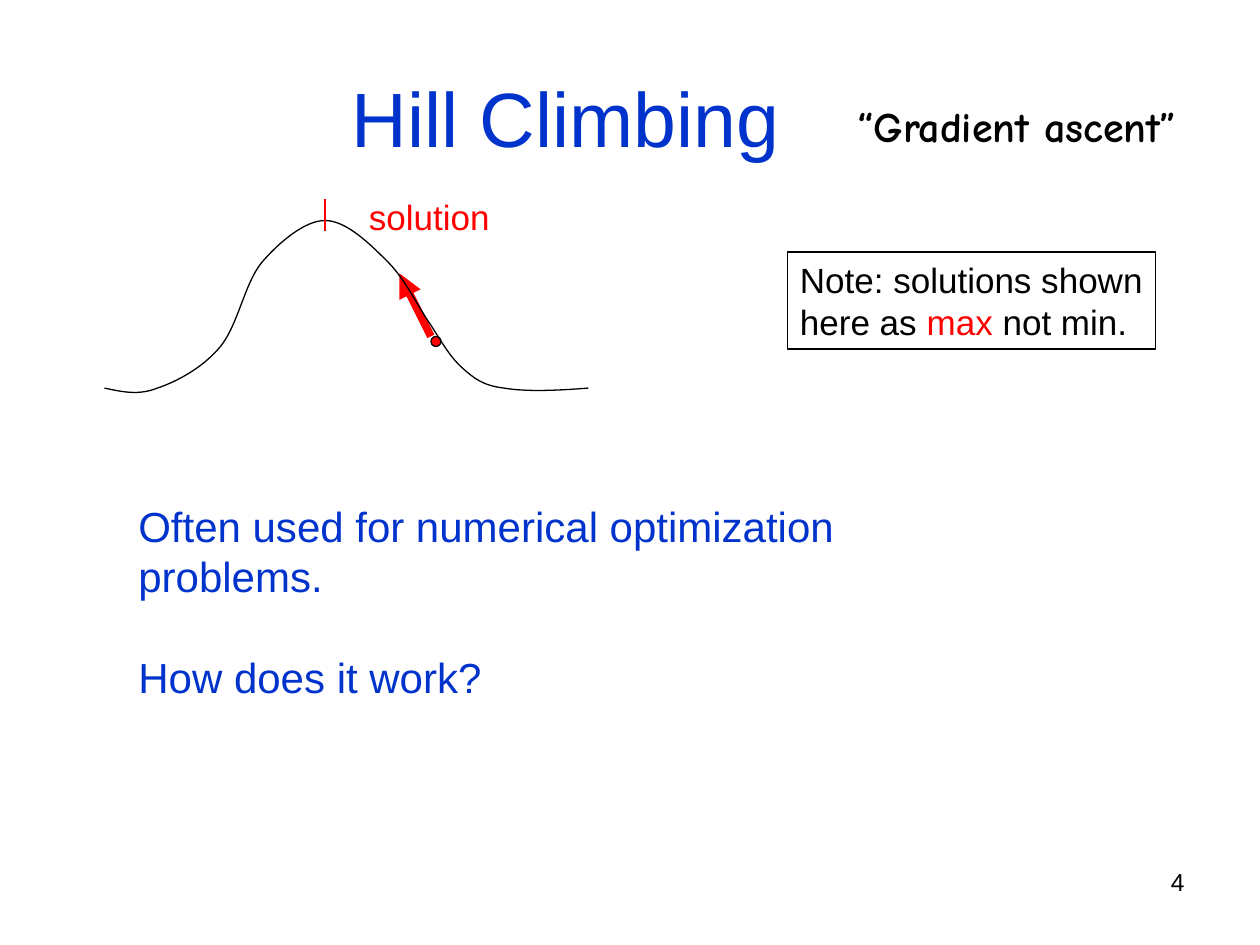
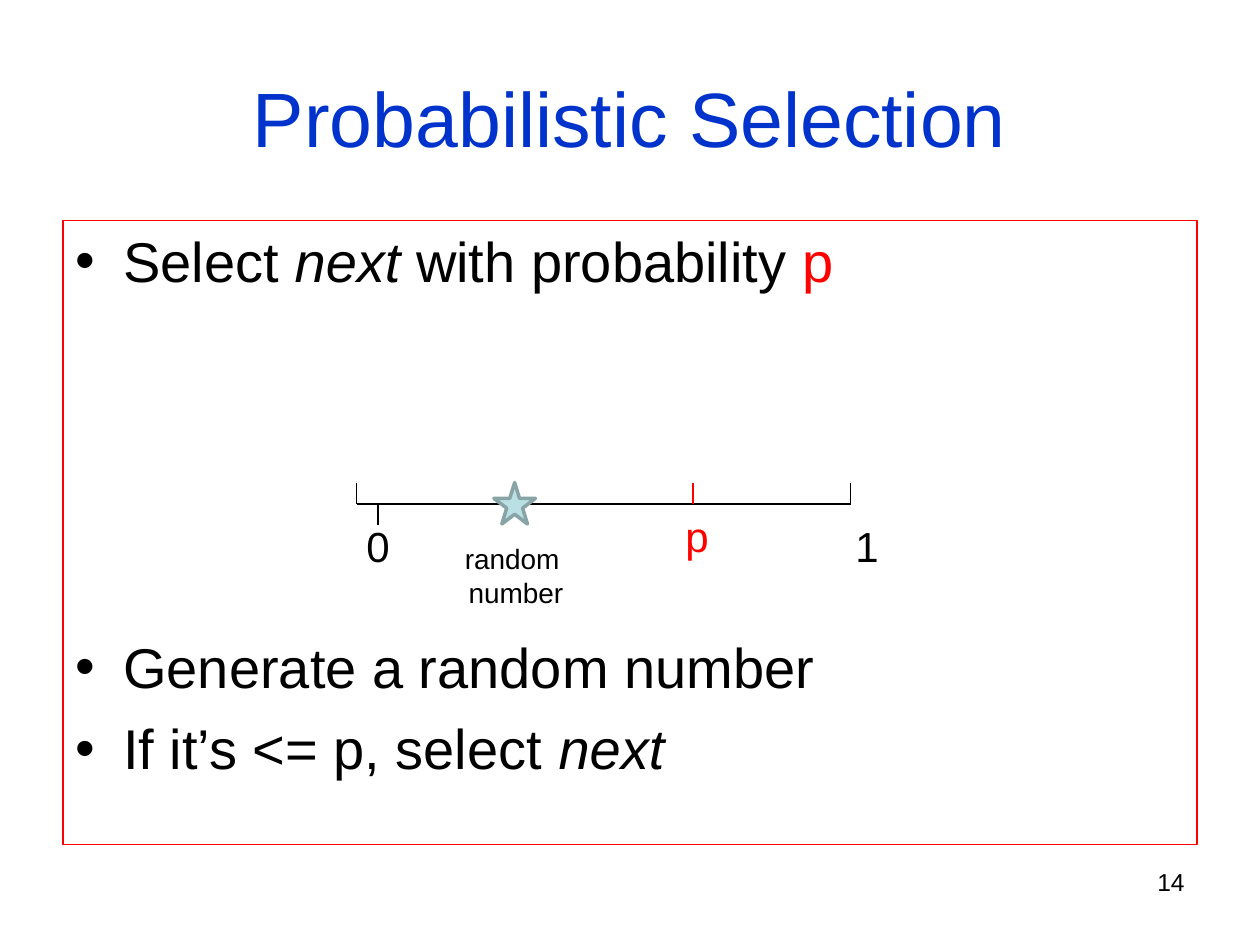
from dataclasses import dataclass
from typing import Optional

from lxml import etree
from pptx import Presentation
from pptx import util as u
from pptx.dml.color import RGBColor
from pptx.enum import shapes, text
from pptx.oxml import ns

COLORS = {
    "black": "000000",
    "blue": "0033CC",
    "red": "FF0000",
    "star": "BBE0E3",
    "star edge": "89A4A7",
}
BODY_FONT = "Arial"
ALIGN = text.PP_ALIGN
PRESET = shapes.MSO_SHAPE


@dataclass(frozen=True)
class Span:
    words: str
    color: Optional[str] = None
    italic: bool = False


@dataclass(frozen=True)
class Para:
    spans: tuple[Span, ...]
    before: float = 0
    bullet: bool = False
    tab: float = 0


@dataclass(frozen=True)
class Label:
    left: float
    top: float
    width: float
    height: float
    paras: tuple[Para, ...]
    size: float
    color: str = "black"
    font: str = BODY_FONT
    bold: bool = False
    align: ALIGN = ALIGN.LEFT
    anchor: text.MSO_ANCHOR = text.MSO_ANCHOR.TOP
    wrap: bool = False
    border: Optional[str] = None


@dataclass(frozen=True)
class Segment:
    start: tuple[float, float]
    end: tuple[float, float]
    color: str = "black"
    weight: float = 0.75
    arrow: bool = False


def rgb(name: str) -> RGBColor:
    return RGBColor.from_string(COLORS[name])


def plain(*words: str) -> tuple[Para, ...]:
    return tuple(Para((Span(line),)) for line in words)


def add_bullet(para) -> None:
    props = para._p.get_or_add_pPr()
    props.set("marL", str(u.Inches(0.38)))
    props.set("indent", str(u.Inches(-0.38)))
    color = etree.SubElement(props, ns.qn("a:buClr"))
    etree.SubElement(color, ns.qn("a:srgbClr"), val=COLORS["black"])
    etree.SubElement(props, ns.qn("a:buFont"), typeface=BODY_FONT)
    etree.SubElement(props, ns.qn("a:buChar"), char="•")


def add_tab(para, position: float) -> None:
    stops = etree.SubElement(para._p.get_or_add_pPr(), ns.qn("a:tabLst"))
    etree.SubElement(stops, ns.qn("a:tab"), pos=str(u.Inches(position)), algn="l")


def style_outline(shape, color: str, weight: float = 0.75) -> None:
    shape.shadow.inherit = False
    shape.line.color.rgb = rgb(color)
    shape.line.width = u.Pt(weight)


def add_label(page, label: Label) -> None:
    place = [u.Inches(n) for n in (label.left, label.top, label.width, label.height)]
    if label.border:
        box = page.shapes.add_shape(PRESET.RECTANGLE, *place)
        box.fill.background()
        style_outline(box, label.border)
    else:
        box = page.shapes.add_textbox(*place)
    frame = box.text_frame
    frame.word_wrap = label.wrap
    if not label.wrap:
        frame.auto_size = text.MSO_AUTO_SIZE.SHAPE_TO_FIT_TEXT
    frame.vertical_anchor = label.anchor
    for index, entry in enumerate(label.paras):
        para = frame.add_paragraph() if index else frame.paragraphs[0]
        para.alignment = label.align
        if entry.before:
            para.space_before = u.Pt(entry.before)
        if entry.bullet:
            add_bullet(para)
        if entry.tab:
            add_tab(para, entry.tab)
        for piece in entry.spans:
            span = para.add_run()
            span.text = piece.words
            span.font.name = label.font
            span.font.size = u.Pt(label.size)
            span.font.bold = label.bold
            span.font.italic = piece.italic
            span.font.color.rgb = rgb(piece.color or label.color)


def add_segment(page, segment: Segment) -> None:
    ends = [u.Inches(n) for n in segment.start + segment.end]
    line = page.shapes.add_connector(shapes.MSO_CONNECTOR.STRAIGHT, *ends)
    line.line.color.rgb = rgb(segment.color)
    line.line.width = u.Pt(segment.weight)
    if segment.arrow:
        etree.SubElement(line.line._get_or_add_ln(), ns.qn("a:tailEnd"), type="triangle")
    etree.SubElement(line._element.spPr, ns.qn("a:effectLst"))


def add_marker(page, kind: PRESET, left: float, top: float, size: float,
               fill: str, edge: str, weight: float) -> None:
    marker = page.shapes.add_shape(
        kind, u.Inches(left), u.Inches(top), u.Inches(size), u.Inches(size))
    marker.fill.solid()
    marker.fill.fore_color.rgb = rgb(fill)
    style_outline(marker, edge, weight)


def add_curve(page, knots: list[tuple[float, float]]) -> None:
    start, *rest = [(u.Inches(x), u.Inches(y)) for x, y in knots]
    builder = page.shapes.build_freeform(*start)
    builder.add_line_segments(rest, close=False)
    curve = builder.convert_to_shape()
    curve.fill.background()
    style_outline(curve, "black")
    straights = list(curve._element.iter(ns.qn("a:lnTo")))
    outline = straights[0].getparent()
    for first in range(0, len(straights), 3):
        bend = etree.SubElement(outline, ns.qn("a:cubicBezTo"))
        for straight in straights[first:first + 3]:
            bend.append(straight[0])
            outline.remove(straight)


def add_page(deck, title: str, number: int, title_width: float = 9):
    page = deck.slides.add_slide(deck.slide_layouts[6])
    add_label(page, Label(0.5, 0.3, title_width, 1.25, plain(title), 44, "blue",
                          align=ALIGN.CENTER, anchor=text.MSO_ANCHOR.MIDDLE, wrap=True))
    add_label(page, Label(7.17, 6.83, 2.33, 0.52, plain(str(number)), 14,
                          align=ALIGN.RIGHT, wrap=True))
    return page


HILL = [
    (0.83, 3.08),
    (0.97, 3.11), (1.1, 3.14), (1.25, 3.08),
    (1.4, 3.03), (1.61, 2.92), (1.75, 2.75),
    (1.89, 2.58), (1.94, 2.25), (2.08, 2.08),
    (2.22, 1.92), (2.42, 1.75), (2.58, 1.75),
    (2.75, 1.75), (2.94, 1.94), (3.08, 2.08),
    (3.22, 2.22), (3.32, 2.44), (3.42, 2.58),
    (3.51, 2.72), (3.57, 2.83), (3.67, 2.92),
    (3.76, 3.0), (3.83, 3.06), (4.0, 3.08),
    (4.17, 3.11), (4.42, 3.1), (4.67, 3.08),
]


def build_hill_climbing(deck) -> None:
    page = add_page(deck, "Hill Climbing", 4, title_width=7.98)
    add_marker(page, PRESET.OVAL, 3.42, 2.67, 0.08, "red", "black", 0.75)
    add_segment(page, Segment((3.42, 2.67), (3.17, 2.17), "red", 4.5, arrow=True))
    add_curve(page, HILL)
    add_segment(page, Segment((2.58, 1.58), (2.58, 1.83), "red"))
    note = plain("Note: solutions shown") + (
        Para((Span("here as "), Span("max", "red"), Span(" not min."))),)
    remarks = (
        Para((Span("Often used for numerical optimization problems."),)),
        Para((Span("How does it work?"),), before=28.8),
    )
    for label in (
        Label(6.71, 0.75, 2.73, 0.5, plain("“Gradient ascent”"), 24,
              font="Comic Neue", bold=True),
        Label(2.83, 1.5, 1.16, 0.44, plain("solution"), 20, "red"),
        Label(6.25, 2, 2.92, 0.77, note, 20, border="black"),
        Label(1, 3.92, 7.27, 1.3, remarks, 24, "blue"),
    ):
        add_label(page, label)


def build_probabilistic_selection(deck) -> None:
    page = add_page(deck, "Probabilistic Selection", 14)
    steps = (
        Para((Span("Select "), Span("next", italic=True),
              Span(" with probability "), Span("p", "red")), bullet=True),
        Para((Span("Generate a random number"),), before=193.6, bullet=True),
        Para((Span("If it’s <= p, select "), Span("next", italic=True)),
             before=8, bullet=True),
    )
    add_label(page, Label(0.5, 1.75, 9, 4.95, steps, 32, wrap=True, border="red"))

    axis, tick = 4, 0.17
    add_segment(page, Segment((2.83, axis), (6.75, axis)))
    for x, color in ((2.83, "black"), (6.75, "black"), (5.5, "red")):
        add_segment(page, Segment((x, axis), (x, axis - tick), color))
    add_segment(page, Segment((3, axis + tick), (3, axis)))
    add_marker(page, PRESET.STAR_5_POINT, 3.92, 3.83, 0.33, "star", "star edge", 2)
    scale = (Para((Span("0\t1"),), tab=3.88),)
    for label in (
        Label(2.81, 4.08, 4.3, 0.5, scale, 24, wrap=True),
        Label(5.34, 4, 0.38, 0.5, plain("p"), 24, "red"),
        Label(3.59, 4.25, 1.01, 0.64, plain("random ", "number"), 16,
              align=ALIGN.CENTER),
    ):
        add_label(page, label)


def main() -> None:
    deck = Presentation()
    deck.slide_width = u.Inches(10)
    deck.slide_height = u.Inches(7.5)
    build_hill_climbing(deck)
    build_probabilistic_selection(deck)
    deck.save("out.pptx")


if __name__ == "__main__":
    main()
